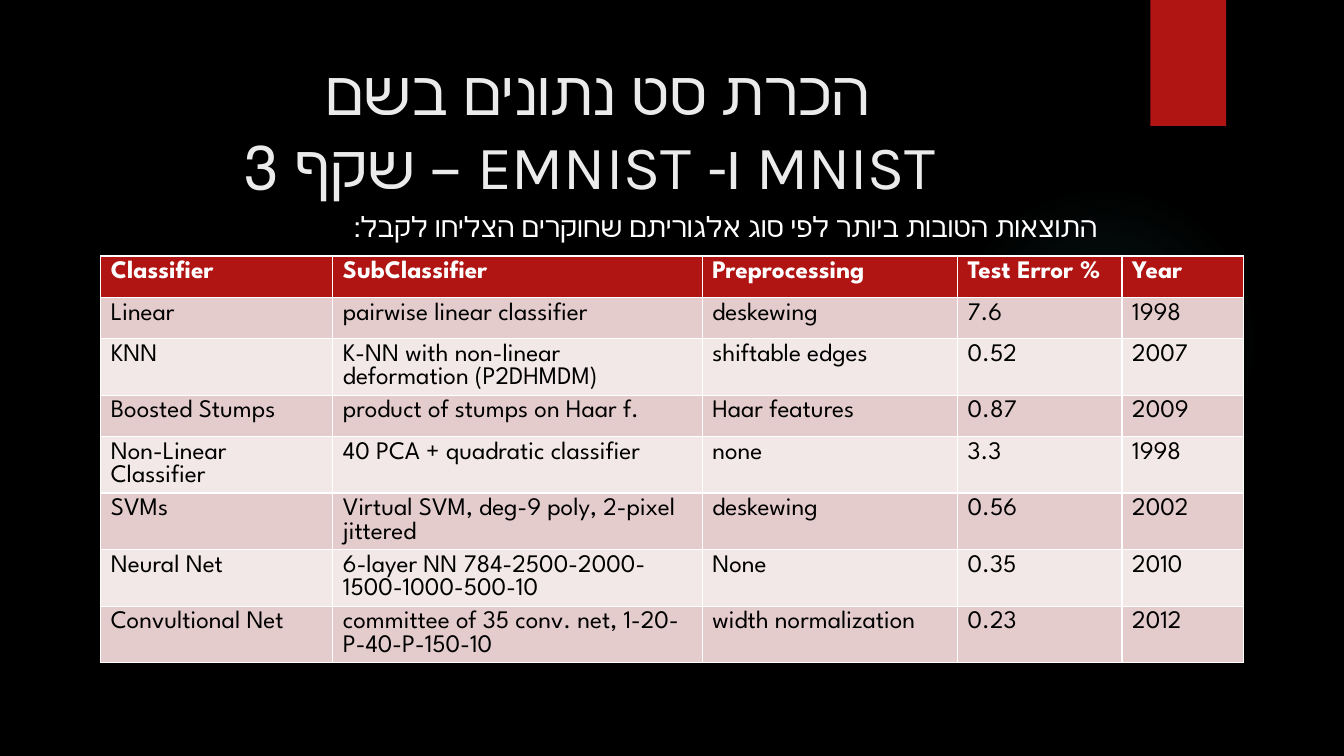
from collections import namedtuple

from lxml.etree import SubElement
from pptx import Presentation
from pptx.dml.color import RGBColor
from pptx.enum.shapes import MSO_SHAPE
from pptx.enum.text import MSO_ANCHOR, PP_ALIGN
from pptx.oxml.ns import qn
from pptx.util import Inches, Pt

BLACK = RGBColor(0x00, 0x00, 0x00)
WHITE = RGBColor(0xFF, 0xFF, 0xFF)
TITLE_GREY = RGBColor(0xEB, 0xEB, 0xEB)
RED = RGBColor(0xB0, 0x15, 0x13)
ROSE = RGBColor(0xE4, 0xCC, 0xCC)
PALE_ROSE = RGBColor(0xF2, 0xE8, 0xE7)
TEAL = RGBColor(0x50, 0xB9, 0xC1)

SLIDE_WIDTH, SLIDE_HEIGHT = Inches(13.33), Inches(7.5)
HEBREW_FONT, TABLE_FONT = "Karla", "League Spartan"

Box = namedtuple("Box", "left top width height")

TITLE = "הכרת סט נתונים בשם \vMNIST ו- EMNIST – שקף 3"
SUBTITLE = "התוצאות הטובות ביותר לפי סוג אלגוריתם שחוקרים הצליחו לקבל:"
COLUMN_WEIGHTS = (2.3, 3.66, 2.53, 1.63, 1.2)
RESULTS = (
    ("Classifier", "SubClassifier", "Preprocessing", "Test Error %", "Year"),
    ("Linear", "pairwise linear classifier", "deskewing", "7.6", "1998"),
    ("KNN", "K-NN with non-linear deformation (P2DHMDM)", "shiftable edges", "0.52", "2007"),
    ("Boosted Stumps", "product of stumps on Haar f.", "Haar features", "0.87", "2009"),
    ("Non-Linear Classifier", "40 PCA + quadratic classifier", "none", "3.3", "1998"),
    ("SVMs", "Virtual SVM, deg-9 poly, 2-pixel jittered", "deskewing", "0.56", "2002"),
    ("Neural Net", "6-layer NN 784-2500-2000-1500-1000-500-10", "None", "0.35", "2010"),
    ("Convultional Net", "committee of 35 conv. net, 1-20-P-40-P-150-10",
     "width normalization", "0.23", "2012"),
)


def percent_box(left, top, width, height):
    """Return a box given in percent of the slide's size."""
    return Box(int(SLIDE_WIDTH * left / 100), int(SLIDE_HEIGHT * top / 100),
               int(SLIDE_WIDTH * width / 100), int(SLIDE_HEIGHT * height / 100))


def style_font(font, name, size, color, bold=False):
    """Set the face, size, colour and weight of a font."""
    font.name, font.size, font.bold = name, Pt(size), bold
    font.color.rgb = color


def add_accent(slide, box, preset, layer):
    """Add a borderless red shape behind the text at the given layer."""
    shape = slide.shapes.add_shape(preset, *box)
    shape.shadow.inherit = False
    shape.line.fill.background()
    shape.fill.solid()
    shape.fill.fore_color.rgb = RED
    slide.shapes.element.insert(2 + layer, shape.element)
    return shape


def add_glow(slide, box):
    """Add a faint round teal glow that fades towards its edge."""
    glow = add_accent(slide, box, MSO_SHAPE.OVAL, 0)
    glow.fill.gradient()
    gradient = glow.element.spPr.find(qn("a:gradFill"))
    for child in list(gradient):
        gradient.remove(child)
    stops = SubElement(gradient, qn("a:gsLst"))
    for position, opacity in ((0, 7), (36, 6), (69, 0)):
        stop = SubElement(stops, qn("a:gs"), pos=str(position * 1000))
        color = SubElement(stop, qn("a:srgbClr"), val=str(TEAL))
        SubElement(color, qn("a:alpha"), val=str(opacity * 1000))
    center = SubElement(gradient, qn("a:path"), path="circle")
    SubElement(center, qn("a:fillToRect"), l="50000", t="50000", r="50000", b="50000")


def fill_hebrew_placeholder(shape, box, text, size, color, alignment, anchor):
    """Place a placeholder and give it one right-to-left paragraph."""
    shape.left, shape.top, shape.width, shape.height = box
    frame = shape.text_frame
    frame.text = text
    frame.word_wrap = True
    frame.vertical_anchor = anchor
    paragraph = frame.paragraphs[0]
    paragraph.alignment = alignment
    style_font(paragraph.font, HEBREW_FONT, size, color)
    properties = paragraph._p.get_or_add_pPr()
    for name, value in (("rtl", "1"), ("marL", "0"), ("indent", "0")):
        properties.set(name, value)
    properties.insert(0, properties.makeelement(qn("a:buNone")))
    return paragraph


def add_results_table(slide, box):
    """Add the banded table of the best results per algorithm."""
    table = slide.shapes.add_table(len(RESULTS), len(COLUMN_WEIGHTS), *box).table
    for column, weight in zip(table.columns, COLUMN_WEIGHTS):
        column.width = int(box.width * weight / sum(COLUMN_WEIGHTS))
    for row_index, values in enumerate(RESULTS):
        is_header = row_index == 0
        band = RED if is_header else (PALE_ROSE, ROSE)[row_index % 2]
        for cell, value in zip(table.rows[row_index].cells, values):
            cell.text = value
            cell.fill.solid()
            cell.fill.fore_color.rgb = band
            style_font(cell.text_frame.paragraphs[0].font, TABLE_FONT, 18,
                       WHITE if is_header else BLACK, is_header)


def build_results_slide(presentation):
    """Build the slide with the title, the lead line and the results table."""
    slide = presentation.slides.add_slide(presentation.slide_layouts[1])
    slide.background.fill.solid()
    slide.background.fill.fore_color.rgb = BLACK
    add_glow(slide, percent_box(70.6, 24.4, 23.1, 41.07))
    add_accent(slide, percent_box(85.6, 0, 5.63, 16.67), MSO_SHAPE.RECTANGLE, 1)
    fill_hebrew_placeholder(slide.shapes.title, percent_box(5.33, 6.67, 77.2, 20.4),
                            TITLE, 44, TITLE_GREY, PP_ALIGN.CENTER, MSO_ANCHOR.MIDDLE)
    lead = fill_hebrew_placeholder(slide.placeholders[1], percent_box(9.08, 27.07, 73.37, 61.2),
                                   SUBTITLE, 20, WHITE, PP_ALIGN.RIGHT, MSO_ANCHOR.TOP)
    lead.space_before = Pt(10)
    add_results_table(slide, percent_box(7.5, 33.87, 85, 43.73))


def main():
    """Create the presentation and save it."""
    presentation = Presentation()
    presentation.slide_width, presentation.slide_height = SLIDE_WIDTH, SLIDE_HEIGHT
    build_results_slide(presentation)
    presentation.save("out.pptx")


if __name__ == "__main__":
    main()
